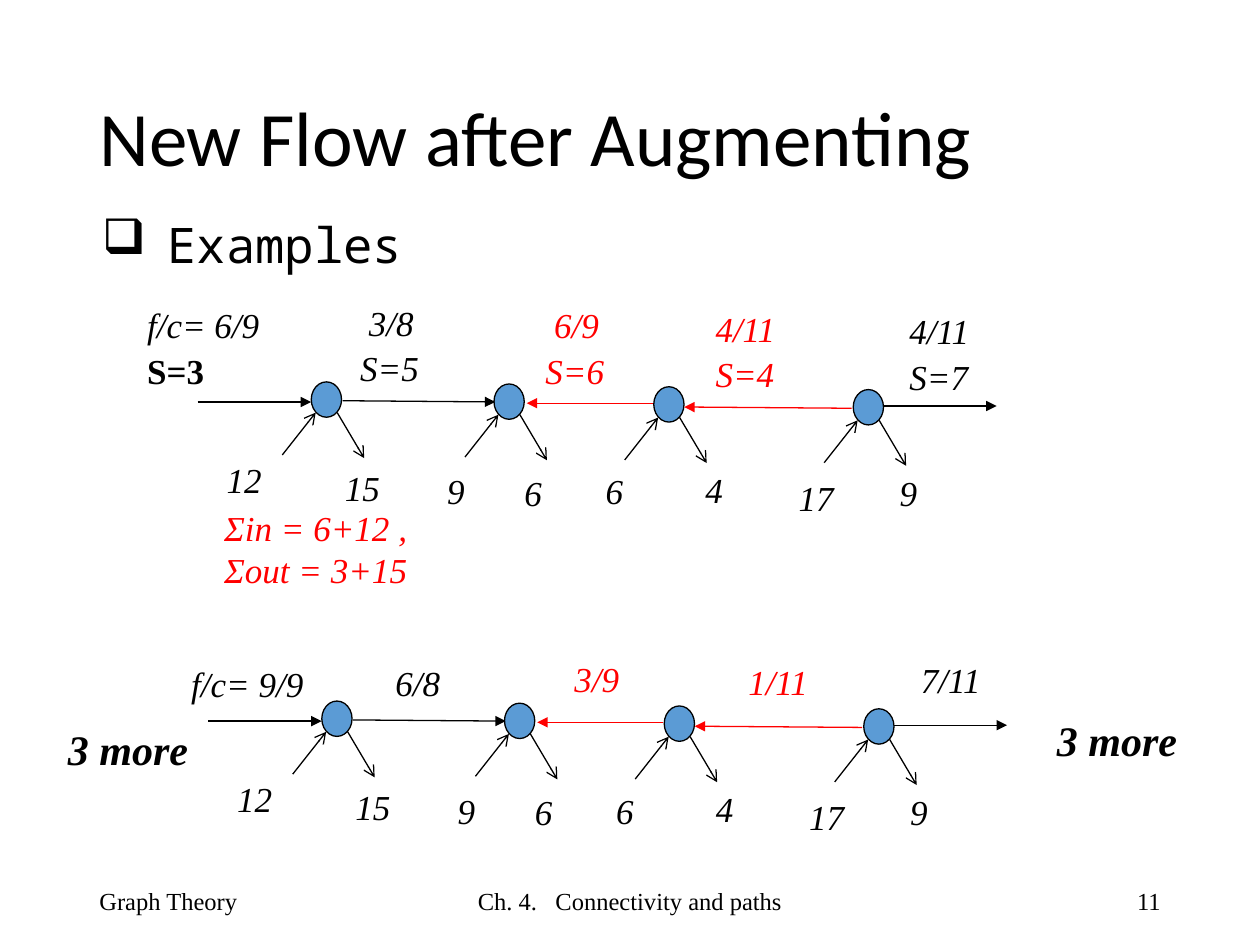
import pptx
import pptx.util
import pptx.dml.color
import pptx.enum.shapes
import pptx.enum.text
import pptx.oxml
import pptx.oxml.ns

Pt = pptx.util.Pt
ALIGN = pptx.enum.text.PP_ALIGN
ANCHOR = pptx.enum.text.MSO_ANCHOR
COLORS = {"black": "000000", "red": "FF0000", "node": "5B9BD5"}
SERIF = "Times New Roman"

# Geometry of the upper chain; the lower one is the same, shifted.
NODES = [(177.9, 218.2), (282.3, 219.4), (373.6, 221), (487.6, 222.6)]
NODE_SIZE = (17.3, 20.2)
# start, end, colour
EDGES = [
    ((113, 229.7), (177.8, 229.7), "black"),
    ((195.8, 229), (283, 229.7), "black"),
    ((373, 230.4), (301, 230.4), "red"),
    ((486.7, 233.3), (391, 232.6), "red"),
    ((504.7, 232), (569.5, 232), "black"),
]
# offsets from a node's corner
STEMS = [((-16.6, 41.8), (2.5, 17.6)), ((14.8, 17.6), (30.2, 43.6))]
# text, left, top, width
STEM_VALUES = [
    ("12", 122.4, 258.5, 53.3), ("15", 190, 262.8, 53.3),
    ("9", 248.4, 265, 53.3), ("6", 292.6, 265.7, 53.3),
    ("6", 339, 265, 43.9), ("4", 396, 264.2, 36.7),
    ("17", 449.3, 268.6, 46), ("9", 507, 265.7, 44.6),
]
CHAIN_SHIFTS = [(0, 0), (6, 182.4)]

# lines, left, top, width, colour
FLOWS = [
    (["f/c= 6/9", "S=3"], 77, 169.9, 99.4, "black"),
    ([" 3/8", "S=5"], 198.7, 168.5, 123.8, "black"),
    ([" 6/9", "S=6"], 304.6, 169.9, 125.3, "red"),
    (["4/11", "S=4"], 401.8, 172, 122.4, "red"),
    (["4/11", "S=7"], 512.6, 173.5, 130.3, "black"),
    (["f/c= 9/9"], 102.2, 375.1, 80.6, "black"),
    (["6/8"], 218.9, 374.4, 109.4, "black"),
    (["3/9"], 321.1, 372.2, 74.9, "red"),
    (["1/11"], 420.5, 373.7, 109.4, "red"),
    (["7/11"], 519.1, 373, 130.3, "black"),
]
SUMS = ["Σin = 6+12 ,", "Σout = 3+15"]
GAINS = [("3 more", 596.9, 404.6), ("3 more", 31.7, 409.7)]
FOOTERS = [
    ("Graph Theory", 49.7, 162, ALIGN.LEFT),
    ("Ch. 4.   Connectivity and paths", 238.3, 243.4, ALIGN.CENTER),
    ("11", 508.3, 162, ALIGN.RIGHT),
]


def rgb(name):
    return pptx.dml.color.RGBColor.from_string(COLORS[name])


def add_text(page, lines, left, top, width, height, size=20, font=SERIF,
             color="black", italic=False, bold=False, align=ALIGN.LEFT,
             anchor=ANCHOR.TOP, before=0, spacing=1.0):
    box = page.shapes.add_textbox(Pt(left), Pt(top), Pt(width), Pt(height))
    frame = box.text_frame
    frame.word_wrap = True
    frame.vertical_anchor = anchor
    for index, line in enumerate(lines):
        para = frame.paragraphs[0] if index == 0 else frame.add_paragraph()
        para.text = line
        para.alignment = align
        para.space_before = Pt(before)
        para.line_spacing = spacing
        para.font.size = Pt(size)
        para.font.name = font
        para.font.italic = italic
        para.font.bold = bold
        para.font.color.rgb = rgb(color)
    return frame


def add_label(page, lines, left, top, width, **style):
    """Italic text whose box grows with its lines."""
    height = 31.5 + 26 * (len(lines) - 1)
    frame = add_text(page, lines, left, top, width, height, italic=True, **style)
    frame.auto_size = pptx.enum.text.MSO_AUTO_SIZE.SHAPE_TO_FIT_TEXT
    return frame


def add_arrow(page, start, end, color="black", head="triangle"):
    arrow = page.shapes.add_connector(
        pptx.enum.shapes.MSO_CONNECTOR.STRAIGHT,
        *(Pt(value) for value in (*start, *end)))
    arrow.line.color.rgb = rgb(color)
    arrow.line.width = Pt(0.75)
    tail = pptx.oxml.ns.qn("a:tailEnd")
    line = arrow.line._get_or_add_ln()
    line.append(line.makeelement(tail, {"type": head}))
    properties = arrow._element.spPr
    properties.append(properties.makeelement(pptx.oxml.ns.qn("a:effectLst"), {}))


def add_node(page, left, top):
    node = page.shapes.add_shape(
        pptx.enum.shapes.MSO_SHAPE.OVAL, Pt(left), Pt(top), *map(Pt, NODE_SIZE))
    node.shadow.inherit = False
    node.fill.solid()
    node.fill.fore_color.rgb = rgb("node")
    node.line.color.rgb = rgb("black")
    node.line.width = Pt(0.75)


def shift(point, offset):
    return point[0] + offset[0], point[1] + offset[1]


def add_chain(page, offset):
    """Nodes, path arrows, stems and stem values, moved by offset."""
    for corner in NODES:
        place = shift(corner, offset)
        add_node(page, *place)
        for start, end in STEMS:
            add_arrow(page, shift(start, place), shift(end, place), head="arrow")
    for start, end, color in EDGES:
        add_arrow(page, shift(start, offset), shift(end, offset), color)
    for value, left, top, width in STEM_VALUES:
        add_label(page, [value], *shift((left, top), offset), width)


def add_heading(page):
    add_text(page, ["New Flow after Augmenting"], 49.7, 28.8, 620.6, 104.4,
             size=44, font="Calibri", anchor=ANCHOR.MIDDLE, spacing=0.9)
    frame = add_text(page, ["Examples"], 54, 125.3, 625.7, 40.3, size=28,
                     font="Noto Sans Mono", before=8.4, spacing=0.8)
    frame.margin_left = Pt(4.3)
    properties = frame.paragraphs[0]._p.get_or_add_pPr()
    properties.set("marL", str(Pt(37.4)))
    properties.set("indent", str(-Pt(37.4)))
    bullet = pptx.oxml.ns.qn("a:buChar")
    properties.append(properties.makeelement(bullet, {"char": "❑"}))


def main():
    deck = pptx.Presentation()
    deck.slide_width, deck.slide_height = Pt(720), Pt(540)
    page = deck.slides.add_slide(deck.slide_layouts[6])
    add_heading(page)
    for text, left, width, align in FOOTERS:
        add_text(page, [text], left, 500.4, width, 28.8, size=14,
                 align=align, anchor=ANCHOR.MIDDLE)
    for offset in CHAIN_SHIFTS:
        add_chain(page, offset)
    for lines, left, top, width, color in FLOWS:
        frame = add_label(page, lines, left, top, width, color=color, before=2)
        if "S=3" in lines:
            frame.paragraphs[1].font.italic = False
            frame.paragraphs[1].font.bold = True
    add_label(page, SUMS, 121, 285.8, 151.2, color="red")
    for text, left, top in GAINS:
        add_label(page, [text], left, top, 97.2, size=24, bold=True)
    deck.save("out.pptx")


if __name__ == "__main__":
    main()
